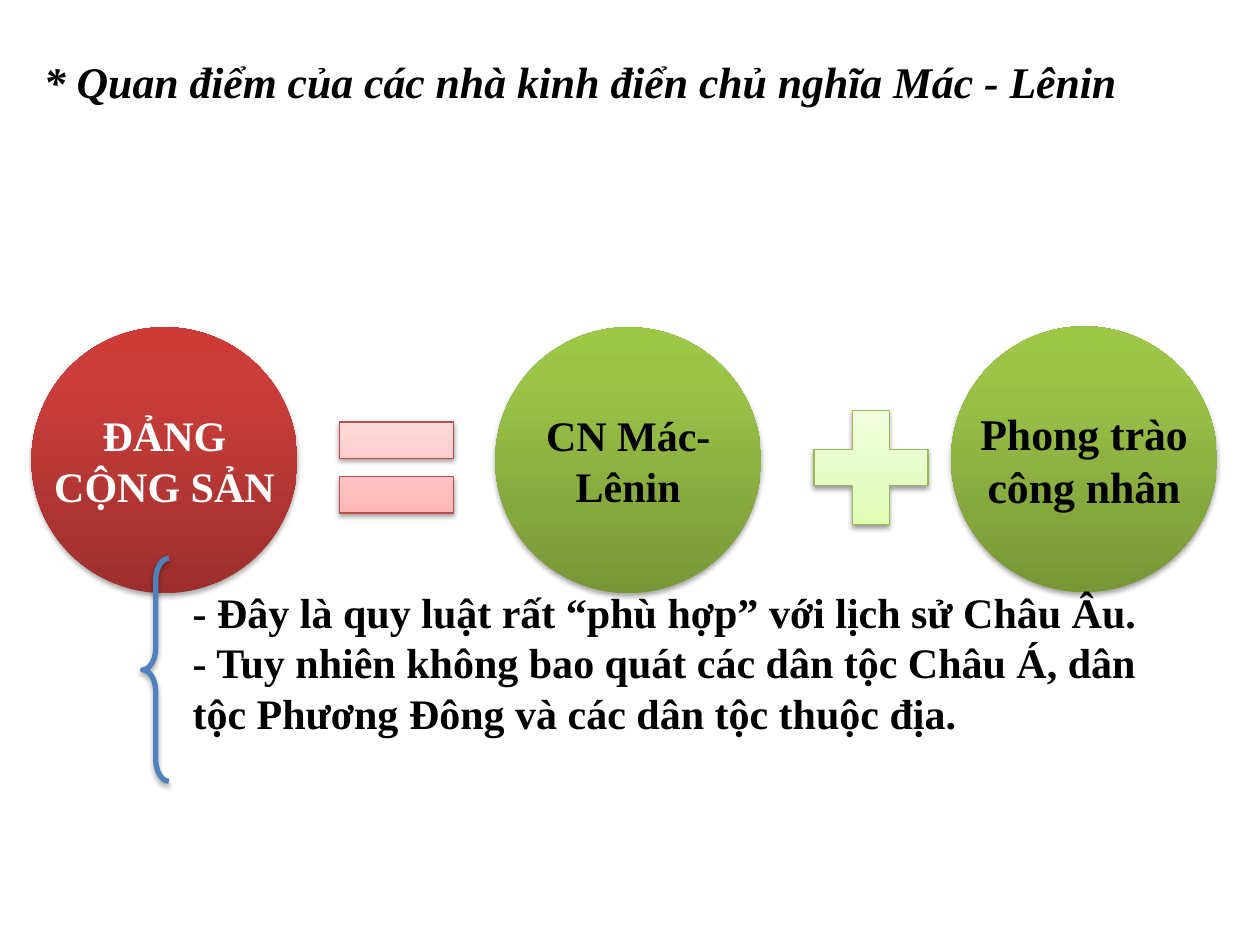
import copy

import lxml.etree
import pptx
import pptx.dml.color
import pptx.enum.shapes
import pptx.enum.text
import pptx.oxml.ns
import pptx.util

Pt = pptx.util.Pt
RGB = pptx.dml.color.RGBColor.from_string
qn = pptx.oxml.ns.qn
SHAPE = pptx.enum.shapes.MSO_SHAPE
ANCHOR = pptx.enum.text.MSO_ANCHOR
ALIGN = pptx.enum.text.PP_ALIGN

COLORS = {"black": "000000", "white": "FFFFFF", "brace": "4F81BD",
          "equal_line": "BF4C48", "plus_line": "98B955"}
# Gradient stops run from the bottom of a shape to its top.
GRADIENTS = {
    "red": [(0, "9C2F2D"), (0.8, "CB3E3A"), (1, "CE3B37")],
    "green": [(0, "779737"), (0.8, "9BC348"), (1, "9DC746")],
    "pale_red": [(0, "FFA6A5"), (0.35, "FFC0BF"), (1, "FFE7E7")],
    "pale_green": [(0, "DAFDA7"), (0.35, "E4FCC2"), (1, "F5FFE7")],
}

deck = pptx.Presentation()
deck.slide_width, deck.slide_height = Pt(720), Pt(540)
slide = deck.slides.add_slide(deck.slide_layouts[6])


def add_shadowed_shape(kind, box, gradient=None, line=None, line_width=0.75,
                       opacity=35, distance=1.8):
    shape = slide.shapes.add_shape(kind, *map(Pt, box))
    if gradient:
        shape.fill.gradient()
        shape.fill.gradient_angle = 90
        stop_list = shape.fill._xPr.find(qn("a:gradFill")).find(qn("a:gsLst"))
        stop_list.append(copy.deepcopy(stop_list[0]))
        for stop, (position, color) in zip(shape.fill.gradient_stops, GRADIENTS[gradient]):
            stop.position = position
            stop.color.rgb = RGB(color)
    else:
        shape.fill.background()
    if line:
        shape.line.color.rgb = RGB(COLORS[line])
        shape.line.width = Pt(line_width)
    else:
        shape.line.fill.background()
    shape.shadow.inherit = False
    effects = shape._element.spPr.find(qn("a:effectLst"))
    shadow = lxml.etree.SubElement(
        effects, qn("a:outerShdw"), blurRad=str(Pt(3.1)), dist=str(Pt(distance)),
        dir="5400000", rotWithShape="0")
    shade = lxml.etree.SubElement(shadow, qn("a:srgbClr"), val=COLORS["black"])
    lxml.etree.SubElement(shade, qn("a:alpha"), val=str(opacity * 1000))
    return shape


def add_text(lines, box, size, color="black", italic=False, anchor=ANCHOR.TOP,
             align=ALIGN.LEFT, inset=None):
    frame = slide.shapes.add_textbox(*map(Pt, box)).text_frame
    frame.word_wrap = True
    frame.vertical_anchor = anchor
    if inset is not None:
        frame.margin_left = frame.margin_right = Pt(inset)
        frame.margin_top = frame.margin_bottom = Pt(inset)
    paragraph = frame.paragraphs[0]
    paragraph.alignment = align
    for number, line in enumerate(lines):
        if number:
            paragraph.add_line_break()
        run = paragraph.add_run()
        run.text = line
        run.font.name = "Times New Roman"
        run.font.size = Pt(size)
        run.font.bold = True
        run.font.italic = italic
        run.font.color.rgb = RGB(COLORS[color])


# The equation: party = doctrine + movement
diameter = 152
for label, left, top, gradient, color, size in [
    ("ĐẢNG CỘNG SẢN", 18, 187, "red", "white", 24),
    ("CN Mác-Lênin", 283, 187, "green", "black", 24),
    ("Phong trào công nhân", 543.5, 186.5, "green", "black", 25),
]:
    circle_box = (left, top, diameter, diameter)
    add_shadowed_shape(SHAPE.OVAL, circle_box, gradient)
    add_text([label], circle_box, size, color, anchor=ANCHOR.MIDDLE,
             align=ALIGN.CENTER, inset=2)

for sign, left, gradient, line in [
    (SHAPE.MATH_EQUAL, 182.5, "pale_red", "equal_line"),
    (SHAPE.MATH_PLUS, 453.5, "pale_green", "plus_line"),
]:
    add_shadowed_shape(sign, (left, 223, 88.5, 88.5), gradient, line,
                       opacity=38, distance=1.6)

add_text(["* Quan điểm của các nhà kinh điển chủ nghĩa Mác - Lênin"],
         (18, 27.5, 660, 37.5), 25, italic=True)
add_text(["- Đây là quy luật rất “phù hợp” với lịch sử Châu Âu.",
          "- Tuy nhiên không bao quát các dân tộc Châu Á, dân tộc Phương Đông "
          "và các dân tộc thuộc địa."],
         (103, 292.5, 589, 132.5), 24, anchor=ANCHOR.BOTTOM)

brace = add_shadowed_shape(SHAPE.LEFT_BRACE, (81.5, 319, 15, 127.5),
                           line="brace", line_width=3)
brace.adjustments[0] = 0.84

deck.save("out.pptx")
